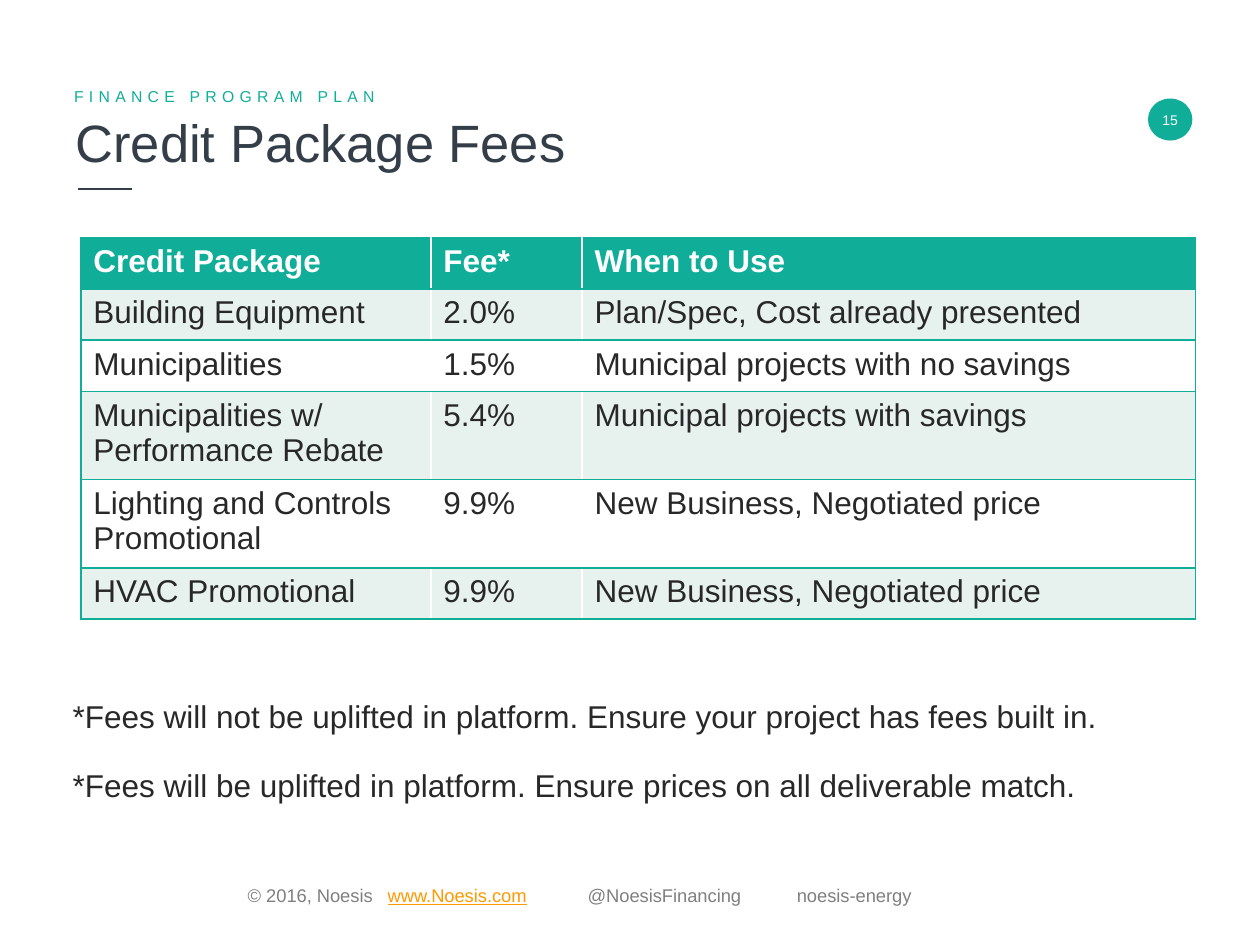
from lxml import etree
from pptx import Presentation
from pptx.dml.color import RGBColor
from pptx.enum import shapes, text
from pptx.oxml.ns import qn
from pptx.util import Pt

TEAL, NAVY, INK, GREY = "10AE99", "343E48", "282828", "7F7F7F"
ORANGE, WHITE, MINT = "FF9900", "FFFFFF", "E7F2EF"

FEES = [
    ("Credit Package", "Fee*", "When to Use"),
    ("Building Equipment", "2.0%", "Plan/Spec, Cost already presented"),
    ("Municipalities", "1.5%", "Municipal projects with no savings"),
    ("Municipalities w/ Performance Rebate", "5.4%", "Municipal projects with savings"),
    ("Lighting and Controls Promotional", "9.9%", "New Business, Negotiated price"),
    ("HVAC Promotional", "9.9%", "New Business, Negotiated price"),
]
FOOTNOTES = [
    "*Fees will not be uplifted in platform. Ensure your project has fees built in.",
    "*Fees will be uplifted in platform. Ensure prices on all deliverable match.",
]


def rgb(value):
    return RGBColor.from_string(value)


def format_font(font, size, color, **values):
    font.color.rgb = rgb(color)
    for name, value in {"name": "Arial", "size": Pt(size), **values}.items():
        setattr(font, name, value)


def add_text(slide, box, words, size, color):
    """Add a wrapping text box and return its paragraph."""
    frame = slide.shapes.add_textbox(*map(Pt, box)).text_frame
    frame.word_wrap = True
    paragraph = frame.paragraphs[0]
    if words:
        format_font(paragraph.add_run().font, size, color)
        paragraph.runs[0].text = words
    return paragraph


def add_heading(slide, box):
    left, top, width, height = box
    title = slide.shapes.title
    for name, value in zip(("left", "top", "width", "height"), box):
        setattr(title, name, Pt(value))
    frame = title.text_frame
    frame.text = "Credit Package Fees"
    frame.auto_size = text.MSO_AUTO_SIZE.NONE
    frame.vertical_anchor = text.MSO_ANCHOR.MIDDLE
    frame.paragraphs[0].alignment = text.PP_ALIGN.LEFT
    format_font(frame.paragraphs[0].runs[0].font, 30, NAVY)

    kicker = add_text(slide, (left - 0.7, top + 10, 396, 34),
                      "FINANCE PROGRAM PLAN", 9, TEAL)
    kicker.runs[0].font._element.set("spc", "300")

    rule_y = Pt(top + 72)
    rule = slide.shapes.add_connector(
        shapes.MSO_CONNECTOR.STRAIGHT, Pt(left + 8.6), rule_y, Pt(left + 39.6), rule_y)
    rule.line.color.rgb = rgb(NAVY)
    rule.line.width = Pt(1)
    etree.SubElement(rule._element.spPr, qn("a:effectLst"))


def add_page_badge(slide, box):
    badge = slide.shapes.add_shape(shapes.MSO_SHAPE.OVAL, *map(Pt, box))
    badge.shadow.inherit = False
    badge.fill.solid()
    badge.fill.fore_color.rgb = rgb(TEAL)
    badge.line.fill.background()
    frame = badge.text_frame
    frame.text = "15"
    frame.word_wrap = False
    frame.vertical_anchor = text.MSO_ANCHOR.MIDDLE
    for side in ("left", "right", "top", "bottom"):
        setattr(frame, f"margin_{side}", 0)
    frame.paragraphs[0].alignment = text.PP_ALIGN.CENTER
    format_font(frame.paragraphs[0].runs[0].font, 8, WHITE)


def set_borders(cell, sides):
    """Draw teal lines on the given sides, in the order L, R, T, B."""
    properties = cell._tc.get_or_add_tcPr()
    for position, side in enumerate(sides):
        line = etree.Element(qn(f"a:ln{side}"), w=str(Pt(1)))
        fill = etree.SubElement(line, qn("a:solidFill"))
        etree.SubElement(fill, qn("a:srgbClr"), val=TEAL)
        properties.insert(position, line)


def add_fee_table(slide, box):
    widths = (200, 86.4, 350.6)
    table = slide.shapes.add_table(len(FEES), len(widths), *map(Pt, box)).table
    for column, width in zip(table.columns, widths):
        column.width = Pt(width)
    for row_index, values in enumerate(FEES):
        table.rows[row_index].height = Pt(29.2)
        header = row_index == 0
        fill = TEAL if header else MINT if row_index % 2 else WHITE
        for column_index, value in enumerate(values):
            cell = table.cell(row_index, column_index)
            cell.text = value
            cell.fill.solid()
            cell.fill.fore_color.rgb = rgb(fill)
            format_font(cell.text_frame.paragraphs[0].runs[0].font, 18,
                        WHITE if header else INK, bold=header)
            set_borders(cell, ("LTB", "TB", "RTB")[column_index])


def add_footnotes(slide, box):
    left, top, width, height = box
    for index, note in enumerate(FOOTNOTES):
        add_text(slide, (left, top + index * 39.4, width, height), note, 18, INK)


def add_footer(slide, box):
    paragraph = add_text(slide, box, "", 10.5, GREY)
    tabs = etree.SubElement(paragraph._p.get_or_add_pPr(), qn("a:tabLst"))
    for position in (80, 194.3, 313.8):
        etree.SubElement(tabs, qn("a:tab"), pos=str(Pt(position)), algn="l")
    for words, color, underline in (
        ("© 2016, Noesis\t", GREY, False),
        ("www.Noesis.com", ORANGE, True),
        ("\t@NoesisFinancing\tnoesis-energy", GREY, False),
    ):
        run = paragraph.add_run()
        run.text = words
        format_font(run.font, 10.5, color, underline=underline)


def main():
    presentation = Presentation()
    presentation.slide_width, presentation.slide_height = Pt(720), Pt(540)
    slide = presentation.slides.add_slide(presentation.slide_layouts[5])
    add_heading(slide, (36, 36, 600, 90))
    add_page_badge(slide, (656, 56.3, 25.4, 24))
    add_fee_table(slide, (46.2, 136, 637, 175.2))
    add_footnotes(slide, (34.4, 394.8, 638, 29))
    add_footer(slide, (134.5, 501.8, 402, 20))
    presentation.save("out.pptx")


if __name__ == "__main__":
    main()
